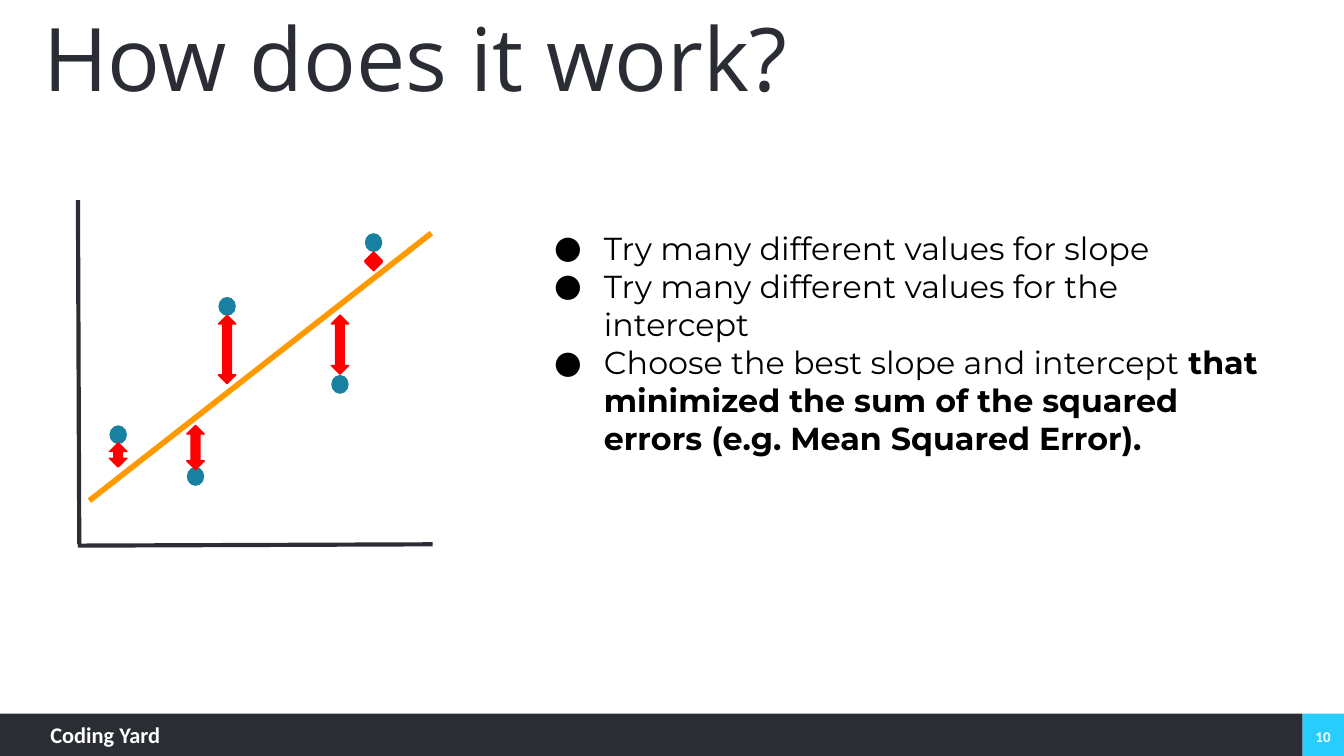
from dataclasses import dataclass

from lxml import etree
from pptx import Presentation
from pptx import util as u
from pptx.dml.color import RGBColor
from pptx.enum import shapes, text
from pptx.oxml.ns import qn

PX = 4572  # EMU per px, 200 px to the inch
SLIDE_W, SLIDE_H = 2000, 1125

WHITE = RGBColor(0xFF, 0xFF, 0xFF)
BLACK = RGBColor(0x00, 0x00, 0x00)
DARK = RGBColor(0x2A, 0x2D, 0x34)
CYAN = RGBColor(0x28, 0xCD, 0xFF)
TEAL = RGBColor(0x18, 0x80, 0xA0)
ORANGE = RGBColor(0xFF, 0x99, 0x00)
RED = RGBColor(0xFF, 0x00, 0x00)

FOOTER_Y, FOOTER_SPLIT = 1062, 1938
MARK_W, DOT_H = 26, 28
BULLET_INDENT, BULLET_HANG = 100, 74


@dataclass
class Box:
    x: int
    y: int
    w: int
    h: int


@dataclass
class Line:
    x1: int
    y1: int
    x2: int
    y2: int
    color: RGBColor
    width: float


@dataclass
class Residual:
    """A data point and the arrow from it towards the fitted line."""
    x: int
    dot_y: int
    arrow_y: int
    arrow_h: int


@dataclass
class Run:
    text: str
    bold: bool = False


@dataclass
class TextBlock:
    box: Box
    paragraphs: list[list[Run]]
    font: str
    size: int
    color: RGBColor
    inset: tuple[int, int] = (0, 0)
    anchor: text.MSO_ANCHOR = text.MSO_ANCHOR.TOP
    align: text.PP_ALIGN = text.PP_ALIGN.LEFT
    spacing: float = 1.0
    bulleted: bool = False


BARS = [
    (Box(FOOTER_SPLIT, FOOTER_Y, SLIDE_W - FOOTER_SPLIT, SLIDE_H - FOOTER_Y), CYAN),
    (Box(0, FOOTER_Y, FOOTER_SPLIT, SLIDE_H - FOOTER_Y), DARK),
]

LINES = [
    Line(116, 298, 118, 810, DARK, 2.25),
    Line(644, 810, 116, 812, DARK, 2.25),
    Line(133, 745, 642, 347, ORANGE, 3),
]

RESIDUALS = [
    Residual(163, 633, 659, 36),
    Residual(278, 695, 633, 66),
    Residual(325, 442, 469, 102),
    Residual(493, 558, 469, 88),
    Residual(543, 347, 375, 28),
]

TEXTS = [
    TextBlock(Box(75, 1073, 314, 46), [[Run("Coding Yard", True)]], "Calibri", 12, WHITE),
    TextBlock(Box(1939, 1066, 60, 60), [[Run("10", True)]], "Calibri", 8, WHITE, (14, 8),
              text.MSO_ANCHOR.MIDDLE, text.PP_ALIGN.CENTER),
    TextBlock(Box(50, 0, 1722, 188), [[Run("How does it work?")]], "Open Sans", 47, DARK,
              (14, 8), text.MSO_ANCHOR.MIDDLE, spacing=0.9),
    TextBlock(
        Box(779, 320, 1116, 384),
        [
            [Run("Try many different values for slope")],
            [Run("Try many different values for the intercept")],
            [Run("Choose the best slope and intercept"),
             Run(" that minimized the sum of the squared errors "
                 "(e.g. Mean Squared Error).", True)],
        ],
        "Montserrat", 17, BLACK, (20, 20), bulleted=True),
]


def emu(*lengths: int) -> list[u.Emu]:
    return [u.Emu(n * PX) for n in lengths]


def set_attributes(target: object, values: dict) -> None:
    for name, value in values.items():
        setattr(target, name, value)


def add_filled(s, kind: shapes.MSO_SHAPE, box: Box, fill: RGBColor, outlined: bool = False) -> None:
    sp = s.shapes.add_shape(kind, *emu(box.x, box.y, box.w, box.h))
    sp.shadow.inherit = False
    sp.fill.solid()
    sp.fill.fore_color.rgb = fill
    if outlined:
        sp.line.color.rgb = fill
        sp.line.width = u.Pt(0.75)
    else:
        sp.line.fill.background()


def add_line(s, line: Line) -> None:
    cxn = s.shapes.add_connector(shapes.MSO_CONNECTOR.STRAIGHT,
                                 *emu(line.x1, line.y1, line.x2, line.y2))
    cxn.line.color.rgb = line.color
    cxn.line.width = u.Pt(line.width)
    etree.SubElement(cxn._element.spPr, qn("a:effectLst"))


def add_bullet(p, block: TextBlock) -> None:
    pPr = p._p.get_or_add_pPr()
    pPr.set("marL", str(BULLET_INDENT * PX))
    pPr.set("indent", str(-BULLET_HANG * PX))
    bu_clr = etree.SubElement(pPr, qn("a:buClr"))
    etree.SubElement(bu_clr, qn("a:srgbClr"), val=str(block.color))
    etree.SubElement(pPr, qn("a:buSzPts"), val=str(block.size * 100))
    etree.SubElement(pPr, qn("a:buFont"), typeface=block.font)
    etree.SubElement(pPr, qn("a:buChar"), char="●")


def add_text(s, block: TextBlock) -> None:
    box = block.box
    tf = s.shapes.add_textbox(*emu(box.x, box.y, box.w, box.h)).text_frame
    dx, dy = emu(*block.inset)
    set_attributes(tf, {
        "word_wrap": True, "vertical_anchor": block.anchor,
        "margin_left": dx, "margin_right": dx, "margin_top": dy, "margin_bottom": dy,
    })
    for i, runs in enumerate(block.paragraphs):
        p = tf.add_paragraph() if i else tf.paragraphs[0]
        set_attributes(p, {"alignment": block.align, "line_spacing": block.spacing})
        if block.bulleted:
            add_bullet(p, block)
        for run in runs:
            r = p.add_run()
            r.text = run.text
            set_attributes(r.font, {"name": block.font, "size": u.Pt(block.size),
                                    "bold": run.bold})
            r.font.color.rgb = block.color


def main() -> None:
    prs = Presentation()
    prs.slide_width, prs.slide_height = emu(SLIDE_W, SLIDE_H)
    s = prs.slides.add_slide(prs.slide_layouts[6])
    for box, color in BARS:
        add_filled(s, shapes.MSO_SHAPE.RECTANGLE, box, color)
    for res in RESIDUALS:
        add_filled(s, shapes.MSO_SHAPE.OVAL, Box(res.x, res.dot_y, MARK_W, DOT_H), TEAL)
    for line in LINES:
        add_line(s, line)
    for res in RESIDUALS:
        add_filled(s, shapes.MSO_SHAPE.UP_DOWN_ARROW,
                   Box(res.x, res.arrow_y, MARK_W, res.arrow_h), RED, outlined=True)
    for block in TEXTS:
        add_text(s, block)
    prs.save("out.pptx")


if __name__ == "__main__":
    main()
